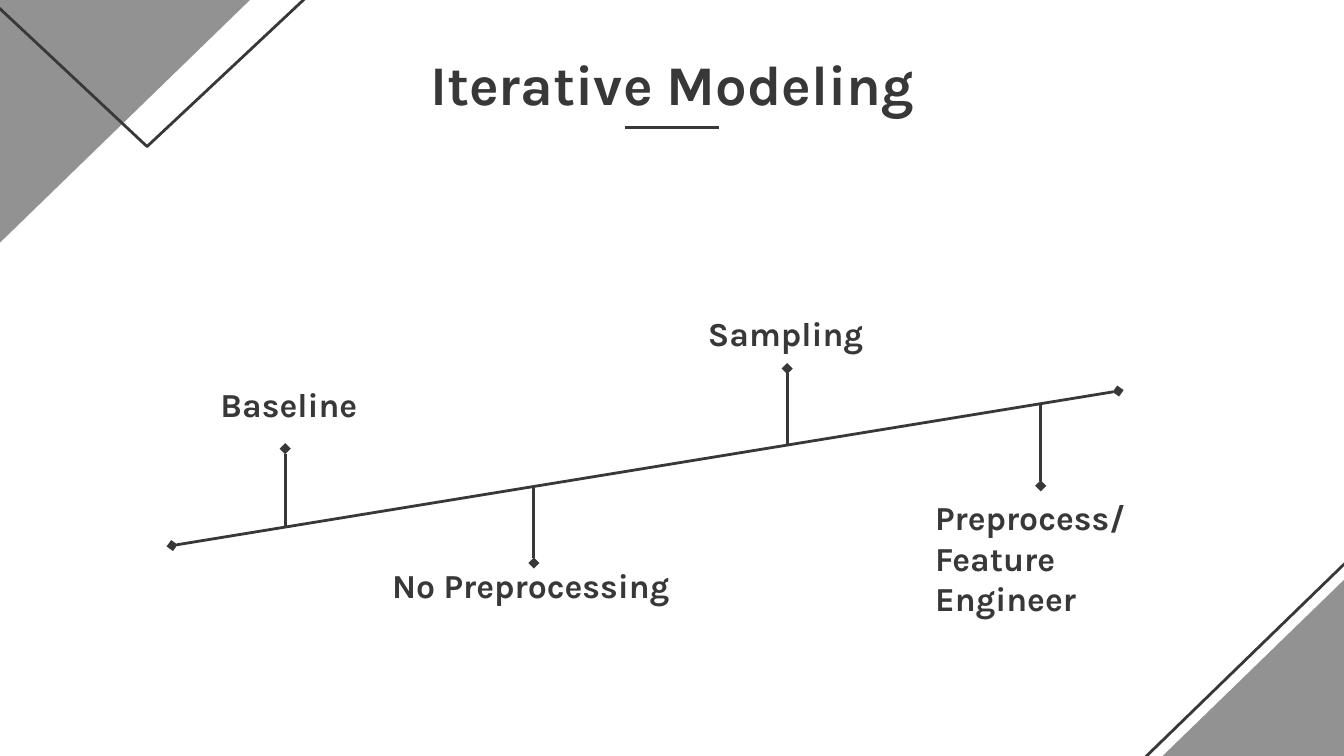
import pptx
import pptx.dml.color
import pptx.enum.shapes
import pptx.enum.text
import pptx.oxml.ns
import pptx.util
from lxml import etree

Pt = pptx.util.Pt
KINDS = pptx.enum.shapes.MSO_SHAPE
ALIGN = pptx.enum.text.PP_ALIGN

THEME = {
    "ink": pptx.dml.color.RGBColor.from_string("383838"),
    "grey": pptx.dml.color.RGBColor.from_string("929292"),
    "font": "Karla",
    "title_size": 30,
    "label_size": 18,
    "line_width": 1.5,
}

HEADING = "Iterative Modeling"
HEADING_BOX = (70.5, 19.5, 579.5, 42)
UNDERLINE = ((334.8, 68.4), (385.2, 68.4))

AXIS_START = (92.2, 292.3)
AXIS_END = (599, 209.5)

MILESTONES = [
    {"label": "Baseline", "x": 152.8, "stem": -42, "box": (64.8, 198.7, 180, 31),
     "align": ALIGN.CENTER, "inset": 7.2},
    {"label": "No Preprocessing", "x": 286, "stem": 41, "box": (194.4, 295.2, 180, 31),
     "align": ALIGN.CENTER, "inset": 7.2},
    {"label": "Sampling", "x": 421.7, "stem": -41, "box": (349.2, 160.6, 143.3, 31),
     "align": ALIGN.CENTER, "inset": 7.2},
    {"label": "Preprocess/Feature Engineer", "x": 557.5, "stem": 44,
     "box": (493.9, 262.8, 146.9, 80.6), "align": ALIGN.LEFT, "inset": 3.6},
]

CORNERS = [
    (KINDS.RIGHT_TRIANGLE, (553, 204.5, 267.8, 260), 0, None),
    (KINDS.RIGHT_TRIANGLE, (561.6, 204.5, 267.8, 260), 0, "grey"),
    (KINDS.RIGHT_TRIANGLE, (-59.8, -72, 267.8, 260), 180, "grey"),
    (KINDS.ISOSCELES_TRIANGLE, (-132.5, -119.5, 422.6, 198), 180, None),
]


def points(values):
    return [Pt(value) for value in values]


def write(holder, text, *, size, align, inset):
    frame = holder.text_frame
    frame.word_wrap = True
    frame.auto_size = pptx.enum.text.MSO_AUTO_SIZE.NONE
    frame.vertical_anchor = pptx.enum.text.MSO_ANCHOR.TOP
    frame.margin_left = frame.margin_right = Pt(7.2)
    frame.margin_top = frame.margin_bottom = Pt(inset)
    frame.text = text
    paragraph = frame.paragraphs[0]
    paragraph.alignment = align
    paragraph.line_spacing = 1.0
    paragraph.space_before = Pt(0)
    font = paragraph.runs[0].font
    font.name = THEME["font"]
    font.size = Pt(size)
    font.bold = True
    font.color.rgb = THEME["ink"]


def ink_line(line):
    line.color.rgb = THEME["ink"]
    line.width = Pt(THEME["line_width"])


def draw_corner(slide, kind, box, rotation, fill):
    corner = slide.shapes.add_shape(kind, *points(box))
    corner.shadow.inherit = False
    corner.rotation = rotation
    corner.element.spPr.find(pptx.oxml.ns.qn("a:xfrm")).set("flipH", "1")
    if fill:
        corner.fill.solid()
        corner.fill.fore_color.rgb = THEME[fill]
        corner.line.fill.background()
    else:
        corner.fill.background()
        ink_line(corner.line)


def draw_line(slide, start, end, diamonds=()):
    connector = slide.shapes.add_connector(
        pptx.enum.shapes.MSO_CONNECTOR.STRAIGHT, *points(start + end))
    ink_line(connector.line)
    outline = connector.line._get_or_add_ln()
    for tip in diamonds:
        etree.SubElement(outline, pptx.oxml.ns.qn(f"a:{tip}"), type="diamond")
    etree.SubElement(connector.element.spPr, pptx.oxml.ns.qn("a:effectLst"))


def axis_height(x):
    (x0, y0), (x1, y1) = AXIS_START, AXIS_END
    return round(y0 + (x - x0) * (y1 - y0) / (x1 - x0), 2)


def main():
    deck = pptx.Presentation()
    deck.slide_width, deck.slide_height = Pt(720), Pt(405)
    slide = deck.slides.add_slide(deck.slide_layouts[5])

    for corner in CORNERS:
        draw_corner(slide, *corner)

    heading = slide.shapes.title
    heading.left, heading.top, heading.width, heading.height = points(HEADING_BOX)
    write(heading, HEADING, size=THEME["title_size"], align=ALIGN.CENTER, inset=7.2)
    draw_line(slide, *UNDERLINE)

    for milestone in MILESTONES:
        x, y = milestone["x"], axis_height(milestone["x"])
        draw_line(slide, (x, y), (x, y + milestone["stem"]), ["tailEnd"])
        label = slide.shapes.add_textbox(*points(milestone["box"]))
        write(label, milestone["label"], size=THEME["label_size"],
              align=milestone["align"], inset=milestone["inset"])
    draw_line(slide, AXIS_END, AXIS_START, ["headEnd", "tailEnd"])

    deck.save("out.pptx")


if __name__ == "__main__":
    main()
